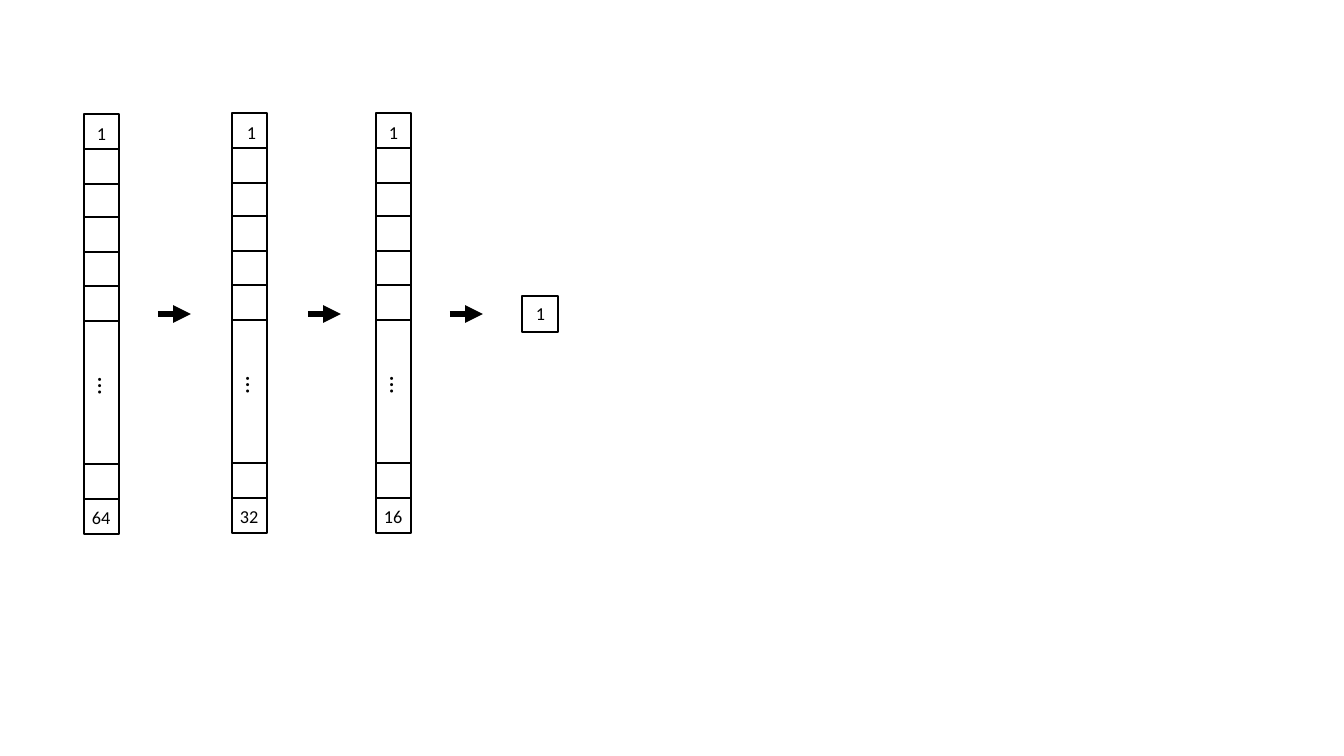
from lxml.etree import SubElement
from pptx import Presentation
from pptx.dml.color import RGBColor
from pptx.enum.shapes import MSO_CONNECTOR, MSO_SHAPE
from pptx.enum.text import MSO_AUTO_SIZE
from pptx.oxml.ns import qn
from pptx.util import Pt

PX = 914400 / 100.8
INK = RGBColor.from_string("000000")


def place(*px):
    return [round(n * PX) for n in px]


def write(shapes, text, left, top, width, height, size=13):
    box = shapes.add_textbox(*place(left, top, width, height))
    frame = box.text_frame
    frame.word_wrap = True
    frame.auto_size = MSO_AUTO_SIZE.SHAPE_TO_FIT_TEXT
    run = frame.paragraphs[0].add_run()
    run.text = text
    run.font.name = "Calibri"
    run.font.size = Pt(size)
    run.font.color.rgb = INK
    return box


deck = Presentation()
deck.slide_width, deck.slide_height = place(1344, 756)
slide = deck.slides.add_slide(deck.slide_layouts[6])
cells, rules, arrows = [], [], []

# Vector columns: left, top, last index, shift of the first index
for left, top, last, shift in [(84, 114, "64", 3), (232, 113, "32", 5),
                               (376, 113, "16", 3)]:
    parts = slide.shapes.add_group_shape().shapes
    cells.append(parts.add_shape(MSO_SHAPE.RECTANGLE,
                                 *place(left, top, 35, 420)))
    for step in (35, 70, 103, 138, 172, 207, 350, 385):
        rules.append(parts.add_connector(
            MSO_CONNECTOR.STRAIGHT,
            *place(left, top + step, left + 35, top + step)))
    dots = write(parts, "…", left + 20, top + 249, 11, 38, 18)
    dots.rotation = 90
    write(parts, "1", left + shift, top + 3, 25, 30)
    write(parts, last, left - 2, top + 387, 54, 32)

# Arrows between the layers
for left in (158, 308, 450):
    arrows.append(slide.shapes.add_connector(
        MSO_CONNECTOR.STRAIGHT, *place(left, 314, left + 33, 314)))

# Output cell
cells.append(slide.shapes.add_shape(MSO_SHAPE.RECTANGLE,
                                    *place(522, 296, 36, 36)))
write(slide.shapes, "1", 526, 297, 25, 30)

# Line styles
for cell in cells:
    cell.shadow.inherit = False
    cell.fill.background()
    cell.line.color.rgb = INK
    cell.line.width = Pt(1)
for link in rules + arrows:
    link.line.color.rgb = INK
    link.line.width = Pt(1)
    SubElement(link.element.spPr, qn("a:effectLst"))
for arrow in arrows:
    arrow.line.width = Pt(4.25)
    SubElement(arrow.element.spPr.find(qn("a:ln")), qn("a:tailEnd"),
               type="triangle")

deck.save("out.pptx")
